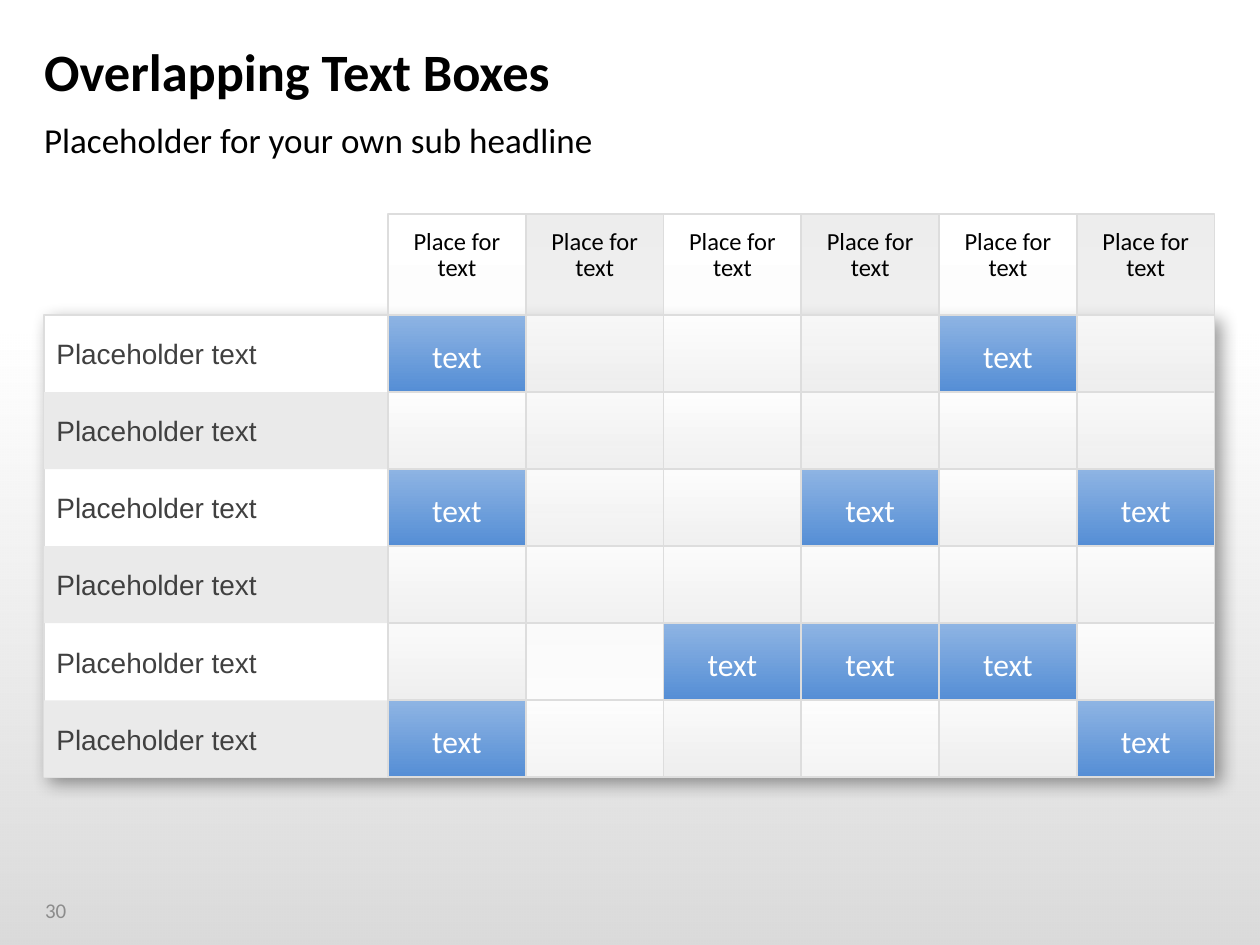
from dataclasses import dataclass

from lxml import etree
from pptx import Presentation
from pptx.dml.color import RGBColor
from pptx.enum.shapes import MSO_SHAPE
from pptx.enum.text import MSO_ANCHOR, MSO_AUTO_SIZE, PP_ALIGN
from pptx.oxml.ns import qn
from pptx.util import Inches, Pt

RECTANGLE = MSO_SHAPE.RECTANGLE
TOP, MIDDLE = MSO_ANCHOR.TOP, MSO_ANCHOR.MIDDLE
LEFT, CENTER = PP_ALIGN.LEFT, PP_ALIGN.CENTER


@dataclass(frozen=True)
class Theme:
    heading_font: str = "Calibri"
    label_font: str = "Arial"
    black: str = "000000"
    white: str = "FFFFFF"
    label: str = "404040"
    number: str = "8C8C8C"
    band: str = "EAEAEA"
    line: str = "DDDDDD"
    blue_top: str = "8EB4E3"
    blue_bottom: str = "558ED5"
    title_size: int = 30
    subtitle_size: int = 20
    cell_size: int = 18
    label_size: int = 16
    header_size: int = 14
    number_size: int = 12


THEME = Theme()
CELL_INSETS = (0.12, 0.12, 0.12, 0.08)
PLAIN_INSETS = (0.1, 0.05, 0.1, 0.05)


def add_panel(shapes, at, stops=(), line=True):
    """Add a rectangle; stops lists (colour, opacity %): none, one for solid, two for a gradient."""
    box = shapes.add_shape(RECTANGLE, *[Inches(length) for length in at])
    box.shadow.inherit = False
    if len(stops) == 2:
        box.fill.gradient()
        box.fill.gradient_angle = 270
        for stop, (colour, opacity) in zip(box.fill.gradient_stops, stops):
            stop.color.rgb = RGBColor.from_string(colour)
        for node, (colour, opacity) in zip(box.element.spPr.iter(qn("a:srgbClr")), stops):
            if opacity < 100:
                etree.SubElement(node, qn("a:alpha"), val=str(opacity * 1000))
    elif stops:
        box.fill.solid()
        box.fill.fore_color.rgb = RGBColor.from_string(stops[0][0])
    else:
        box.fill.background()
    if line:
        box.line.color.rgb = RGBColor.from_string(THEME.line)
        box.line.width = Pt(1)
    else:
        box.line.fill.background()
    return box


def write(box, text, size, colour, font=THEME.heading_font, align=LEFT,
          anchor=MIDDLE, insets=PLAIN_INSETS, spacing=1.0, bold=False):
    frame = box.text_frame
    frame.text = text
    frame.word_wrap = True
    frame.auto_size = MSO_AUTO_SIZE.NONE
    frame.vertical_anchor = anchor
    (frame.margin_left, frame.margin_top,
     frame.margin_right, frame.margin_bottom) = [Inches(inset) for inset in insets]
    para = frame.paragraphs[0]
    para.alignment = align
    para.line_spacing = spacing
    para.space_before = Pt(0)
    span = para.runs[0]
    span.font.name = font
    span.font.size = Pt(size)
    span.font.bold = bold
    span.font.color.rgb = RGBColor.from_string(colour)


deck = Presentation()
deck.slide_width, deck.slide_height = Inches(10), Inches(7.5)
page = deck.slides.add_slide(deck.slide_layouts[1])

# Backdrop, page number and headings
add_panel(page.shapes, (0, 2.59, 10, 4.91), [(THEME.black, 0), (THEME.black, 15)], line=False)
number = page.shapes.add_textbox(Inches(0.26), Inches(7.02), Inches(0.64), Inches(0.4))
write(number, "30", THEME.number_size, THEME.number)

title, subtitle = page.placeholders
for box, top, height in ((title, 0.26, 0.67), (subtitle, 0.94, 0.37)):
    box.left, box.top = Inches(0.35), Inches(top)
    box.width, box.height = Inches(9.29), Inches(height)
write(title, "Overlapping Text Boxes", THEME.title_size, THEME.black,
      insets=(0, 0.05, 0.1, 0.05), spacing=0.9, bold=True)
write(subtitle, "Placeholder for your own sub headline", THEME.subtitle_size, THEME.black,
      anchor=TOP, insets=(0, 0, 0, 0))
etree.SubElement(subtitle.text_frame.paragraphs[0]._p.get_or_add_pPr(), qn("a:buNone"))

# Board geometry: six rows and six columns beside the row labels
ROWS = COLUMNS = 6
BOARD_LEFT, BOARD_TOP, BOARD_WIDTH, BOARD_HEIGHT = 0.35, 2.5, 9.29, 3.67
LABEL_WIDTH, HEADER_TOP = 2.73, 1.7
GRID_LEFT = BOARD_LEFT + LABEL_WIDTH
COLUMN_WIDTH = (BOARD_WIDTH - LABEL_WIDTH) / COLUMNS
ROW_HEIGHT = BOARD_HEIGHT / ROWS
FILLED = {(0, 0), (0, 4), (2, 0), (2, 3), (2, 5), (4, 2), (4, 3), (4, 4), (5, 0), (5, 5)}

LIGHT = [(THEME.white, 50), (THEME.band, 50)]
DARK = [(THEME.line, 50), (THEME.white, 50)]
BLUE = [(THEME.blue_top, 100), (THEME.blue_bottom, 100)]

board = page.shapes.add_group_shape().shapes
base = add_panel(board, (BOARD_LEFT, BOARD_TOP, BOARD_WIDTH, BOARD_HEIGHT), [(THEME.white, 100)])
shadow = etree.SubElement(base.element.spPr.find(qn("a:effectLst")), qn("a:outerShdw"),
                          blurRad=str(Pt(10)), dist=str(Pt(5)), dir=str(45 * 60000),
                          algn="tl", rotWithShape="0")
shade = etree.SubElement(shadow, qn("a:srgbClr"), val=THEME.black)
etree.SubElement(shade, qn("a:alpha"), val="40000")

# Light columns lie under the dark ones
for column in (0, 2, 4, 1, 3, 5):
    strip = add_panel(board, (GRID_LEFT + column * COLUMN_WIDTH, HEADER_TOP, COLUMN_WIDTH,
                              BOARD_TOP + BOARD_HEIGHT - HEADER_TOP),
                      DARK if column % 2 else LIGHT)
    write(strip, "Place for text", THEME.header_size, THEME.black, align=CENTER,
          anchor=TOP, insets=CELL_INSETS, spacing=0.9)

for row in range(ROWS):
    row_top = BOARD_TOP + row * ROW_HEIGHT
    label = add_panel(board, (BOARD_LEFT, row_top, LABEL_WIDTH, ROW_HEIGHT),
                      [(THEME.band, 100)] if row % 2 else [], line=False)
    write(label, "Placeholder text", THEME.label_size, THEME.label, font=THEME.label_font)

    for column in range(COLUMNS):
        filled = (row, column) in FILLED
        # The first row, first column and last two rows leave some strips bare
        if (row, column) in {(4, 1), (5, 0)} and not filled:
            continue
        cell = add_panel(board, (GRID_LEFT + column * COLUMN_WIDTH, row_top,
                                 COLUMN_WIDTH, ROW_HEIGHT), BLUE if filled else LIGHT)
        if filled:
            write(cell, "text", THEME.cell_size, THEME.white, align=CENTER, insets=CELL_INSETS)

deck.save("out.pptx")
